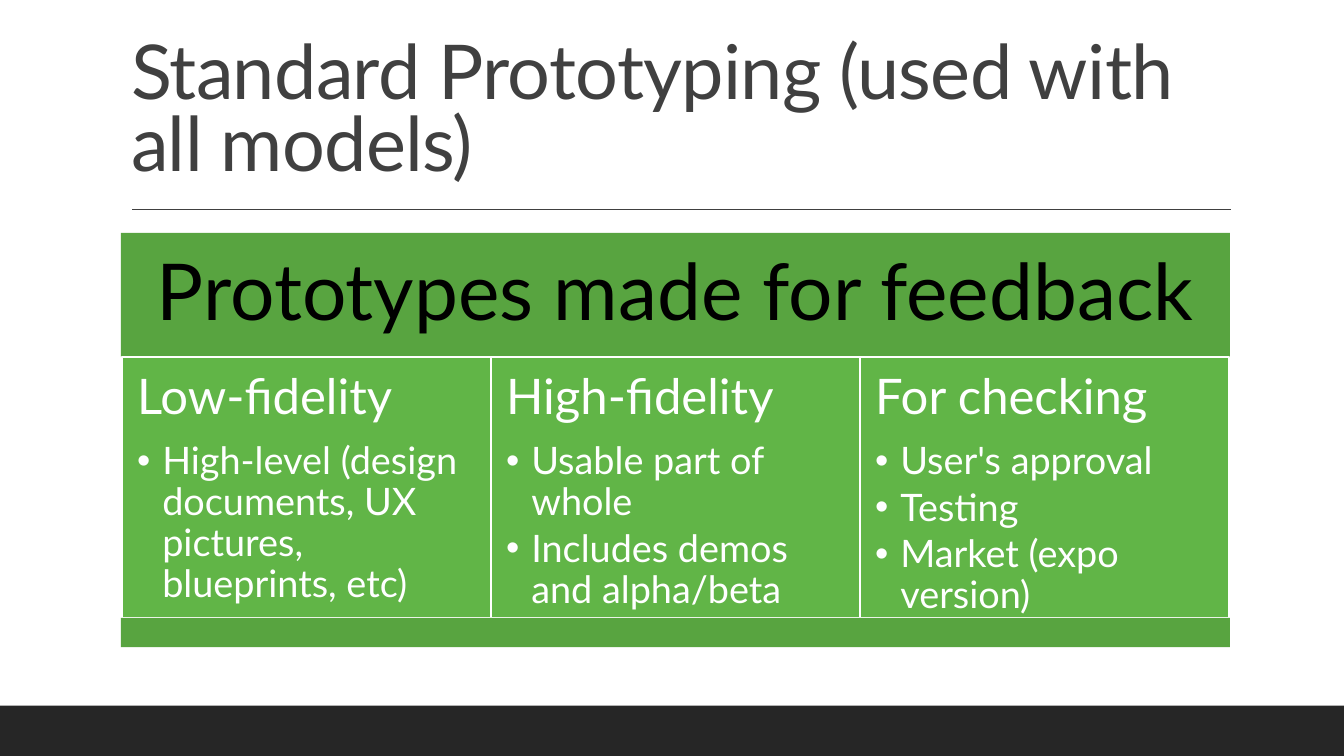
from lxml.etree import SubElement
from pptx import Presentation
from pptx.dml.color import RGBColor
from pptx.enum.shapes import MSO_CONNECTOR, MSO_SHAPE
from pptx.enum.text import MSO_ANCHOR, MSO_AUTO_SIZE, PP_ALIGN
from pptx.oxml.ns import qn
from pptx.util import Inches, Pt

WHITE = RGBColor(0xFF, 0xFF, 0xFF)
BLACK = RGBColor(0, 0, 0)
CHARCOAL = RGBColor(0x26, 0x26, 0x26)
GRAY = RGBColor(0x40, 0x40, 0x40)
DARK_GREEN = RGBColor(0x58, 0xA4, 0x40)
GREEN = RGBColor(0x61, 0xB5, 0x47)
FONT = "Lato"

TITLE = "Standard Prototyping (used with all models)"
BANNER = "Prototypes made for feedback"
COLUMNS = [
    ("Low-fidelity", ["High-level (design documents, UX pictures, blueprints, etc)"]),
    ("High-fidelity", ["Usable part of whole", "Includes demos and alpha/beta"]),
    ("For checking", ["User's approval", "Testing", "Market (expo version)"]),
]


def set_values(target, values):
    for name, value in values.items():
        setattr(target, name, value)


def add_panel(page, box, fill, line=None):
    panel = page.shapes.add_shape(MSO_SHAPE.RECTANGLE, *map(Inches, box))
    panel.shadow.inherit = False
    panel.fill.solid()
    panel.fill.fore_color.rgb = fill
    if line is None:
        panel.line.fill.background()
    else:
        panel.line.color.rgb = line
        panel.line.width = Pt(1.25)
    return panel


def set_frame(frame, anchor, margin):
    sides = ("left", "top", "right", "bottom")
    set_values(frame, {f"margin_{side}": Inches(margin) for side in sides})
    set_values(frame, {"word_wrap": True, "vertical_anchor": anchor})


def write_para(para, text, size, color, spacing=0.9, after=0, align=PP_ALIGN.LEFT):
    set_values(para, {"alignment": align, "line_spacing": spacing,
                      "space_before": Pt(0), "space_after": Pt(size * after)})
    span = para.add_run()
    span.text = text
    set_values(span.font, {"name": FONT, "size": Pt(size)})
    span.font.color.rgb = color
    return span


def add_bullet(para):
    para.level = 1
    properties = para._p.get_or_add_pPr()
    properties.set("marL", str(Inches(0.25)))
    properties.set("indent", str(Inches(-0.25)))
    SubElement(properties, qn("a:buFont")).set("typeface", "Arial")
    SubElement(properties, qn("a:buChar")).set("char", "•")


def add_title(page, box):
    title = page.shapes.title
    set_values(title, dict(zip(("left", "top", "width", "height"), map(Inches, box))))
    frame = title.text_frame
    set_values(frame, {"auto_size": MSO_AUTO_SIZE.NONE, "word_wrap": True,
                       "vertical_anchor": MSO_ANCHOR.BOTTOM})
    span = write_para(frame.paragraphs[0], TITLE, 54, GRAY, spacing=0.8)
    span.font._element.set("spc", "-50")


def add_rule(page, left, top, width):
    rule = page.shapes.add_connector(MSO_CONNECTOR.STRAIGHT, Inches(left), Inches(top),
                                     Inches(left + width), Inches(top))
    rule.line.color.rgb = GRAY
    rule.line.width = Pt(1)
    SubElement(rule._element.spPr, qn("a:effectLst"))


def add_column(page, box, heading, items):
    frame = add_panel(page, box, GREEN, WHITE).text_frame
    set_frame(frame, MSO_ANCHOR.TOP, 0.15)
    write_para(frame.paragraphs[0], heading, 35, WHITE, after=0.35)
    for item in items:
        para = frame.add_paragraph()
        write_para(para, item, 27, WHITE, after=0.15)
        add_bullet(para)


def add_feedback_table(page, box):
    left, top, width, height = box
    banner_height, footer_height = 1.23, 0.29
    column_height = height - banner_height - footer_height
    column_width = 3.66
    column_left = left + (width - column_width * len(COLUMNS)) / 2

    frame = add_panel(page, (left, top, width, banner_height), DARK_GREEN).text_frame
    set_frame(frame, MSO_ANCHOR.MIDDLE, 0.23)
    write_para(frame.paragraphs[0], BANNER, 56, BLACK, after=0.35, align=PP_ALIGN.CENTER)

    for index, (heading, items) in enumerate(COLUMNS):
        add_column(page, (column_left + index * column_width, top + banner_height,
                          column_width, column_height), heading, items)
    add_panel(page, (left, top + height - footer_height, width, footer_height), DARK_GREEN)


def build_page(deck):
    page = deck.slides.add_slide(deck.slide_layouts[5])
    page.background.fill.solid()
    page.background.fill.fore_color.rgb = WHITE
    add_panel(page, (0, 7, 13.33, 0.5), CHARCOAL)
    add_rule(page, 1.31, 2.08, 10.9)
    add_title(page, (1.2, 0.31, 11, 1.59))
    add_feedback_table(page, (1.2, 2.31, 11, 4.11))


deck = Presentation()
set_values(deck, {"slide_width": Inches(13.33), "slide_height": Inches(7.5)})
build_page(deck)
deck.save("out.pptx")
